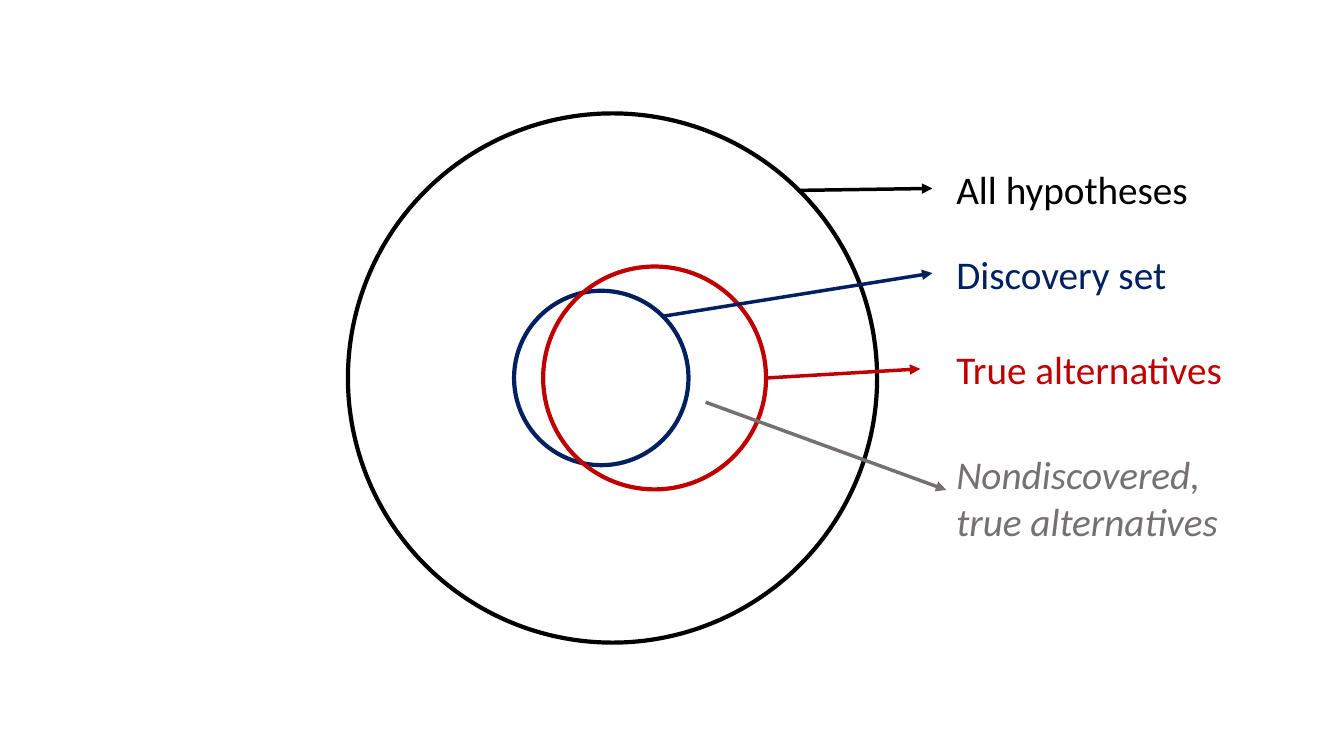
from lxml.etree import SubElement
from pptx import Presentation
from pptx.dml.color import RGBColor
from pptx.enum.shapes import MSO_CONNECTOR, MSO_SHAPE
from pptx.enum.text import MSO_AUTO_SIZE
from pptx.oxml.ns import qn
from pptx.util import Pt

BLACK, NAVY, RED, GRAY = "000000", "002060", "C00000", "767171"
CENTER_Y = 270
LABEL_LEFT = 676


def color(hex_string):
    """Turn a hex string into a colour."""
    return RGBColor.from_string(hex_string)


def add_circle(slide, center_x, diameter, line_color):
    """Draw an unfilled circle centred on the shared horizontal axis."""
    radius = diameter / 2
    shape = slide.shapes.add_shape(
        MSO_SHAPE.OVAL, Pt(center_x - radius), Pt(CENTER_Y - radius),
        Pt(diameter), Pt(diameter))
    shape.shadow.inherit = False
    shape.fill.background()
    shape.line.color.rgb = color(line_color)
    shape.line.width = Pt(3)


def add_arrow(slide, start, end, line_color):
    """Draw a straight arrow from start to end."""
    connector = slide.shapes.add_connector(
        MSO_CONNECTOR.STRAIGHT, *(Pt(value) for value in (*start, *end)))
    connector.line.color.rgb = color(line_color)
    connector.line.width = Pt(2.5)
    properties = connector._element.spPr
    SubElement(properties.find(qn("a:ln")), qn("a:tailEnd"), type="triangle")
    SubElement(properties, qn("a:effectLst"))


def add_label(slide, text, top, width, text_color, italic=False):
    """Write a label in the column right of the circles, one paragraph a line."""
    height = 7.2 + 33.8 * len(text.split("\n"))
    box = slide.shapes.add_textbox(
        Pt(LABEL_LEFT), Pt(top), Pt(width), Pt(height))
    text_frame = box.text_frame
    text_frame.word_wrap = False
    text_frame.auto_size = MSO_AUTO_SIZE.SHAPE_TO_FIT_TEXT
    text_frame.text = text
    for paragraph in text_frame.paragraphs:
        for run in paragraph.runs:
            run.font.name = "Calibri"
            run.font.size = Pt(28)
            run.font.italic = italic
            run.font.color.rgb = color(text_color)


def main():
    """Build the diagram of hypothesis sets and save it."""
    presentation = Presentation()
    presentation.slide_width, presentation.slide_height = Pt(960), Pt(540)
    slide = presentation.slides.add_slide(presentation.slide_layouts[6])

    add_circle(slide, 437.5, 378, BLACK)
    add_circle(slide, 429.5, 124.6, NAVY)
    add_circle(slide, 467.6, 159.2, RED)

    add_arrow(slide, (571, 136), (666, 134.6), BLACK)
    add_arrow(slide, (473, 226), (666, 195.1), NAVY)
    add_arrow(slide, (547.2, CENTER_Y), (657.4, 263.5), RED)
    add_arrow(slide, (504, 287.3), (676, 350), GRAY)

    add_label(slide, "All hypotheses", 114.5, 181.4, BLACK)
    add_label(slide, "Discovery set", 175, 172.8, NAVY)
    add_label(slide, "True alternatives", 243.4, 206.6, RED)
    add_label(slide, "Nondiscovered,\ntrue alternatives", 318.2, 203.8, GRAY,
              italic=True)

    presentation.save("out.pptx")


main()
